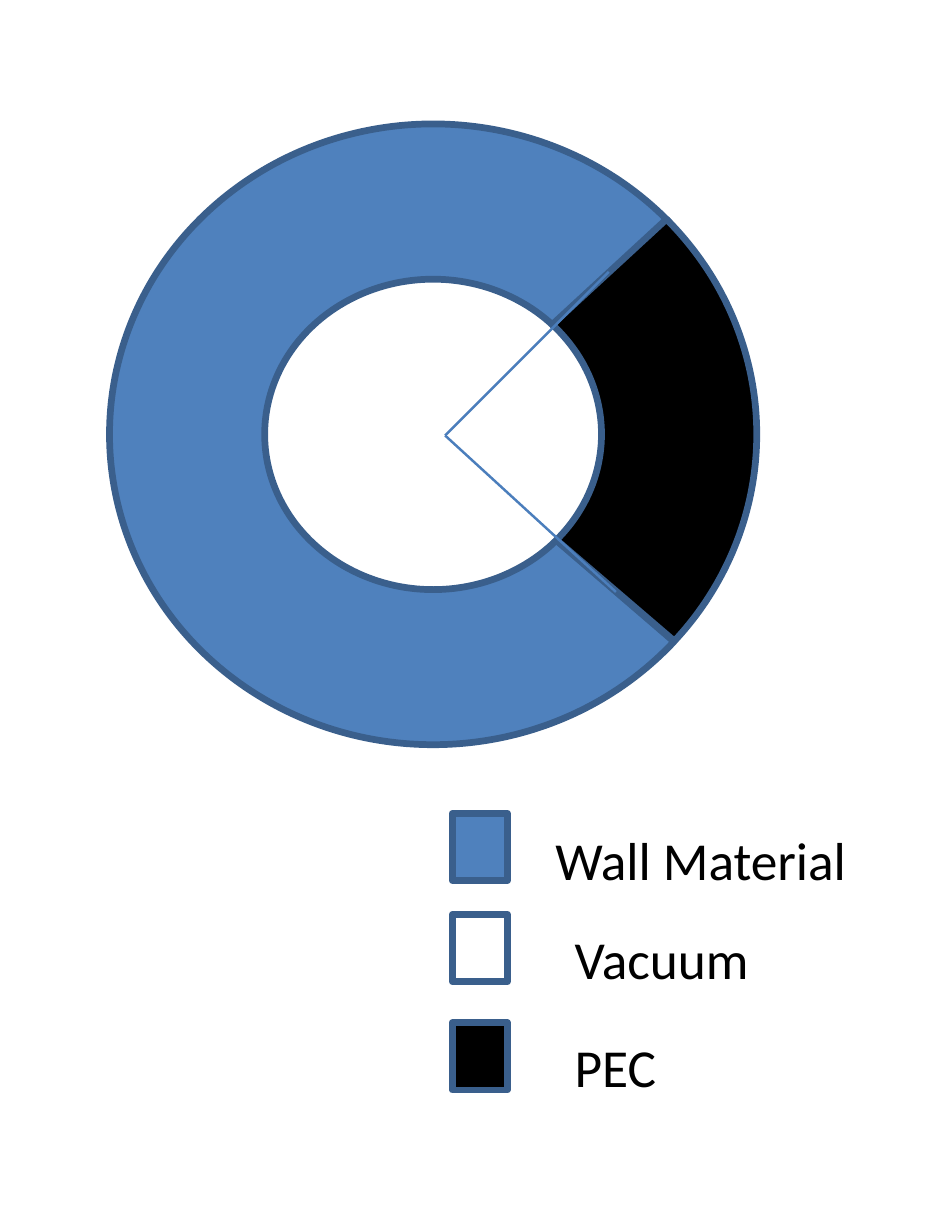
from lxml import etree
from pptx import Presentation
from pptx.dml.color import RGBColor
from pptx.enum import shapes, text
from pptx.oxml.ns import qn
from pptx.util import Inches, Pt

BLUE = RGBColor(0x4F, 0x81, 0xBD)
OUTLINE = RGBColor(0x3A, 0x5F, 0x8C)
RADIUS = RGBColor(0x4B, 0x7E, 0xBC)
BLACK = RGBColor(0, 0, 0)

prs = Presentation()
prs.slide_width, prs.slide_height = Inches(3.94), Inches(5.12)
s = prs.slides.add_slide(prs.slide_layouts[6])


def add_outlined(kind, x, y, w, h, fill):
    sp = s.shapes.add_shape(kind, Inches(x), Inches(y), Inches(w), Inches(h))
    sp.shadow.inherit = False
    if fill is None:
        sp.fill.background()
    else:
        sp.fill.solid()
        sp.fill.fore_color.rgb = fill
    sp.line.color.rgb = OUTLINE
    sp.line.width = Pt(2)
    return sp


# Ring: wall material and the PEC sector
for fill, rotation, adjustments in [
    (BLUE, 270, (78.43, 28.91, 0.25)),
    (BLACK, 90, (136.41, 186.36, 0.25)),
]:
    sp = add_outlined(shapes.MSO_SHAPE.BLOCK_ARC, 0.51, 0.46, 2.58, 2.69, fill)
    sp.rotation = rotation
    for i, value in enumerate(adjustments):
        sp.adjustments[i] = value

# Legend: swatches and labels
for label, fill, swatch_y, x, y, w in [
    ("Wall Material", BLUE, 3.38, 2.21, 3.39, 1.42),
    ("Vacuum", None, 3.8, 2.29, 3.8, 0.93),
    ("PEC", BLACK, 4.25, 2.29, 4.25, 0.54),
]:
    add_outlined(shapes.MSO_SHAPE.RECTANGLE, 1.88, swatch_y, 0.23, 0.28, fill)
    tf = s.shapes.add_textbox(Inches(x), Inches(y), Inches(w), Inches(0.37)).text_frame
    tf.word_wrap = False
    tf.auto_size = text.MSO_AUTO_SIZE.SHAPE_TO_FIT_TEXT
    p = tf.paragraphs[0]
    p.text = label
    p.font.name = "Calibri"
    p.font.size = Pt(16)
    p.font.color.rgb = BLACK

# Radii from the sector edges to the centre
for x, y in [(2.53, 1.13), (2.56, 2.46)]:
    radius = s.shapes.add_connector(
        shapes.MSO_CONNECTOR.STRAIGHT, Inches(x), Inches(y), Inches(1.85), Inches(1.81))
    radius.line.color.rgb = RADIUS
    radius.line.width = Pt(0.75)
    etree.SubElement(radius._element.spPr, qn("a:effectLst"))

prs.save("out.pptx")
